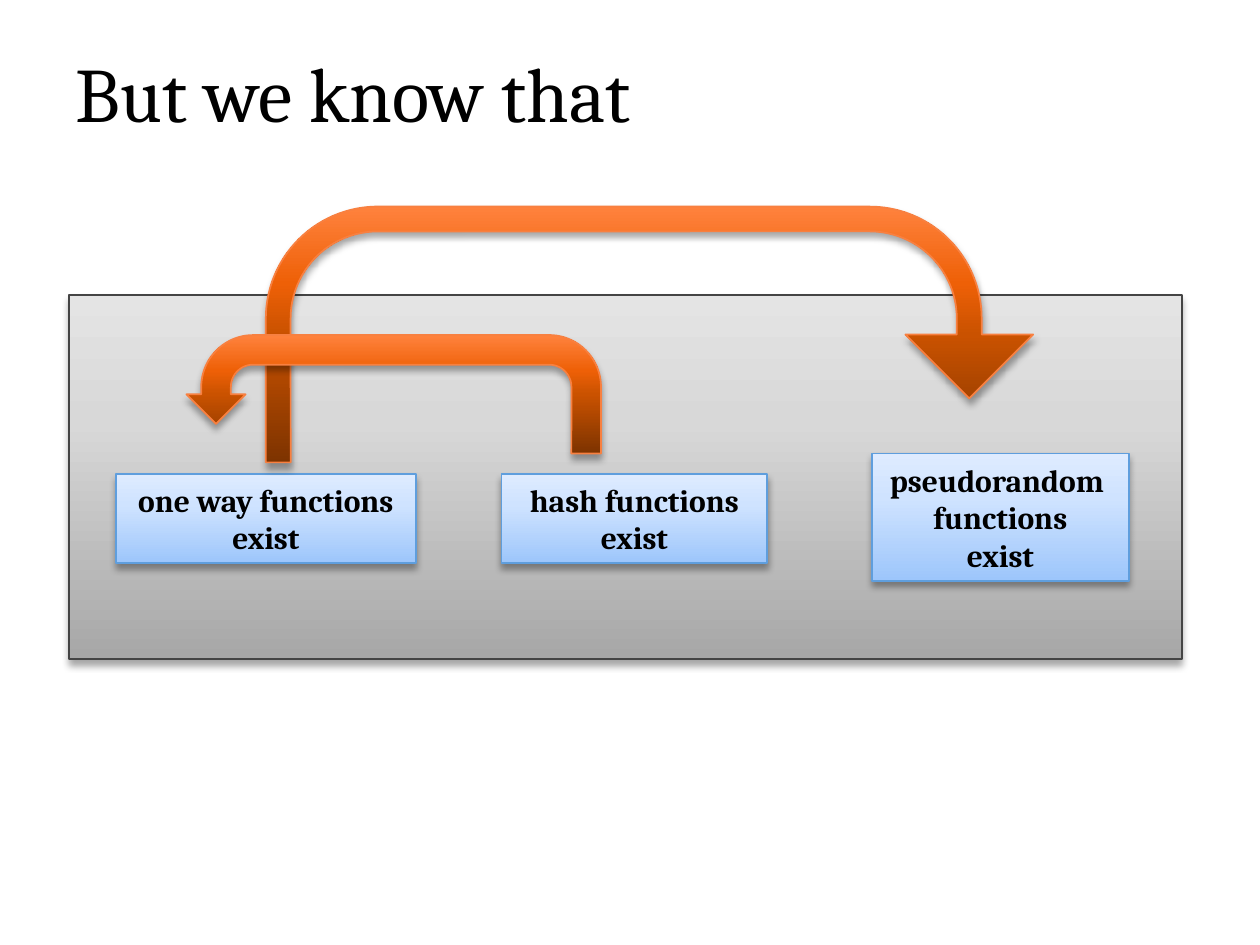
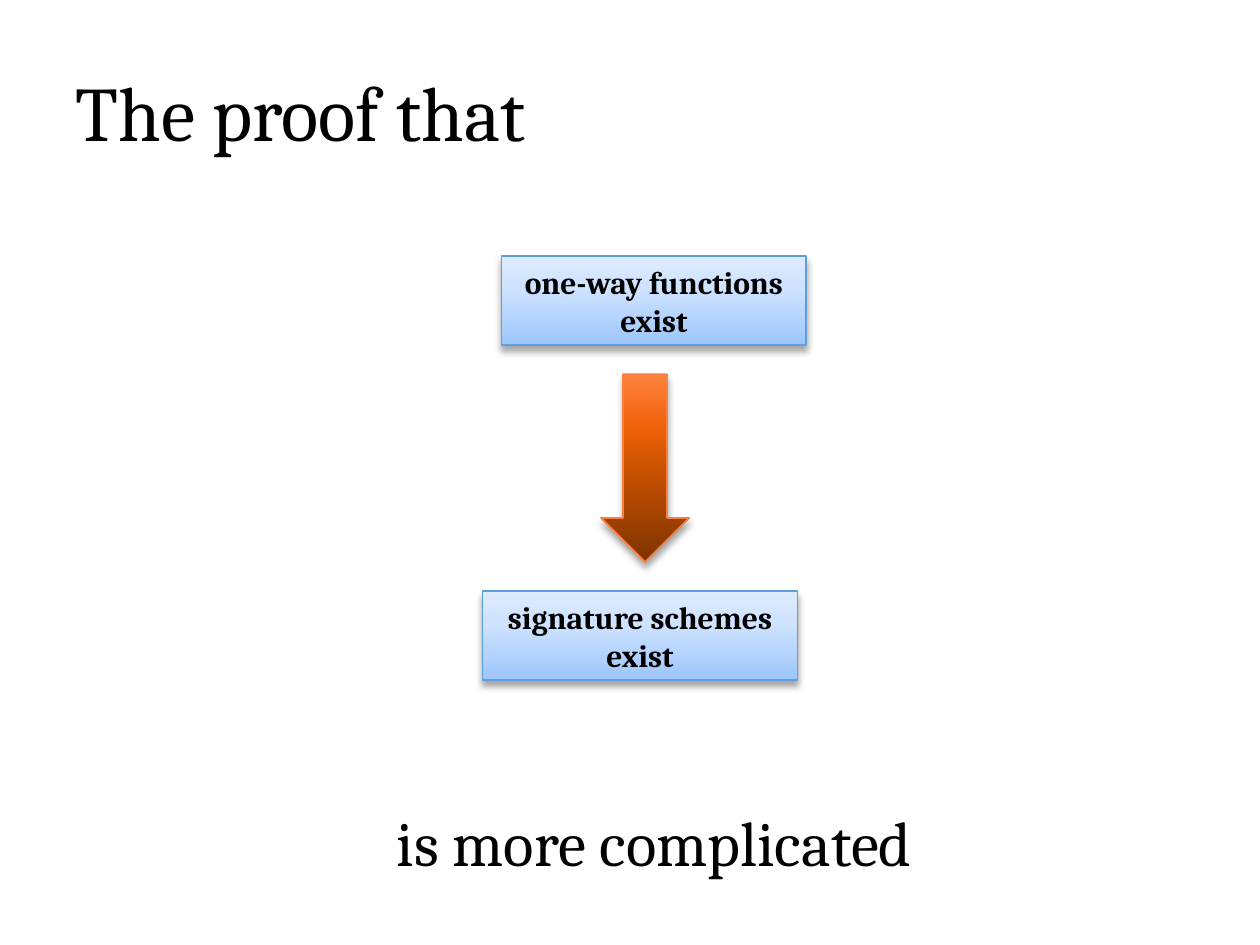
from lxml.etree import SubElement
from pptx import Presentation
from pptx.dml.color import RGBColor
from pptx.enum.shapes import MSO_SHAPE
from pptx.enum.text import MSO_ANCHOR, MSO_AUTO_SIZE, PP_ALIGN
from pptx.oxml.ns import qn
from pptx.util import Inches, Pt

FONT = "Cambria"
BLACK = "000000"
TITLE_FONT = {"name": FONT, "size": Pt(44), "bold": False}
BOX_FONT = {"name": FONT, "size": Pt(18), "bold": True}
CLOSING_FONT = {"name": FONT, "size": Pt(36), "bold": False}

PANEL_STYLE = {"line": "444444", "stops": [(0, "A7A7A7"), (65, "D8D8D8"), (100, "E4E4E4")]}
BOX_STYLE = {"line": "5F9EDD", "stops": [(0, "9DC6FB"), (65, "CFE3FF"), (100, "DEEBFF")]}
ARROW_STYLE = {
    "line": "F88040",
    "stops": [(0, "7D3300"), (50, "CA5200"), (70, "EE6007"), (100, "FF823D")],
}
SHADOW = {"blurRad": Pt(4), "dist": Pt(3), "dir": 90 * 60000, "rotWithShape": 0}
SHADOW_ALPHA = 35

KNOWN_TITLE = ("But we know that", (0.5, 0.3, 9, 0.95))
KNOWN_PANEL = (0.55, 2.34, 8.83, 2.89)
KNOWN_BOXES = [
    ("one way functions\nexist", (0.92, 3.76, 2.38, 0.71)),
    ("hash functions\nexist", (3.98, 3.76, 2.11, 0.71)),
    ("pseudorandom \nfunctions\nexist", (6.92, 3.6, 2.04, 1.01)),
]
ONE_WAY_TO_PSEUDORANDOM = (2.11, 1.64, 6.09, 2.03)
HASH_TO_ONE_WAY = (1.48, 2.66, 3.29, 0.94)
THIN_SHAFT = 0.097

PROOF_TITLE = ("The proof that", (0.5, 0.3, 9, 1.25))
PROOF_BOXES = [
    ("signature schemes exist", (3.83, 4.69, 2.5, 0.71)),
    ("one-way functions\nexist", (3.98, 2.03, 2.42, 0.71)),
]
PROOF_ARROW = (4.77, 2.97, 0.7, 1.49)
CLOSING = ("is more complicated", (3.05, 6.33, 4.33, 0.71))


def colour(value):
    """Turn a hex string into a colour."""
    return RGBColor.from_string(value)


def lengths(place):
    """Turn left, top, width and height into lengths."""
    return [Inches(value) for value in place]


def write(shape, text, font, align):
    """Write one formatted paragraph into a shape."""
    para = shape.text_frame.paragraphs[0]
    para.text = text
    para.alignment = align
    for span in para.runs:
        for name, value in font.items():
            setattr(span.font, name, value)
        span.font.color.rgb = colour(BLACK)
    return para


def add_colour(parent, value):
    """Add a colour element below a gradient stop or a shadow."""
    return SubElement(parent, qn("a:srgbClr"), val=value)


def add_glossy(page, kind, place, style):
    """Add a shape with an upward gradient, a thin line and a soft shadow."""
    shape = page.shapes.add_shape(kind, *lengths(place))
    shape.fill.gradient()
    shape.fill.gradient_angle = 90
    properties = shape._element.spPr
    stops = properties.find(".//" + qn("a:gsLst"))
    for stop in list(stops):
        stops.remove(stop)
    for position, value in style["stops"]:
        add_colour(SubElement(stops, qn("a:gs"), pos=str(position * 1000)), value)
    shape.line.color.rgb = colour(style["line"])
    shape.line.width = Pt(1)
    shape.shadow.inherit = False
    effects = properties.find(qn("a:effectLst"))
    settings = {name: str(int(value)) for name, value in SHADOW.items()}
    shade = add_colour(SubElement(effects, qn("a:outerShdw"), settings), BLACK)
    SubElement(shade, qn("a:alpha"), val=str(SHADOW_ALPHA * 1000))
    return shape


def add_boxes(page, boxes):
    """Add the blue statement boxes."""
    for text, place in boxes:
        box = add_glossy(page, MSO_SHAPE.RECTANGLE, place, BOX_STYLE)
        box.text_frame.word_wrap = True
        box.text_frame.auto_size = MSO_AUTO_SIZE.SHAPE_TO_FIT_TEXT
        write(box, text, BOX_FONT, PP_ALIGN.CENTER)


def add_page(deck, title):
    """Add a title-only slide with its title in place."""
    page = deck.slides.add_slide(deck.slide_layouts[5])
    text, place = title
    heading = page.shapes.title
    heading.left, heading.top, heading.width, heading.height = lengths(place)
    heading.text_frame.auto_size = MSO_AUTO_SIZE.NONE
    heading.text_frame.vertical_anchor = MSO_ANCHOR.MIDDLE
    write(heading, text, TITLE_FONT, PP_ALIGN.LEFT).line_spacing = 0.9
    return page


def build_known(deck):
    """Build the slide on the known implications."""
    page = add_page(deck, KNOWN_TITLE)
    panel = add_glossy(page, MSO_SHAPE.RECTANGLE, KNOWN_PANEL, PANEL_STYLE)
    page.shapes._spTree.insert(2, panel._element)
    add_boxes(page, KNOWN_BOXES)
    long_arrow = add_glossy(page, MSO_SHAPE.U_TURN_ARROW, ONE_WAY_TO_PSEUDORANDOM, ARROW_STYLE)
    long_arrow.adjustments[0] = THIN_SHAFT
    back_arrow = add_glossy(page, MSO_SHAPE.U_TURN_ARROW, HASH_TO_ONE_WAY, ARROW_STYLE)
    back_arrow._element.spPr.find(qn("a:xfrm")).set("flipH", "1")


def build_proof(deck):
    """Build the slide on the harder proof."""
    page = add_page(deck, PROOF_TITLE)
    add_boxes(page, PROOF_BOXES)
    add_glossy(page, MSO_SHAPE.DOWN_ARROW, PROOF_ARROW, ARROW_STYLE)
    text, place = CLOSING
    closing = page.shapes.add_textbox(*lengths(place))
    closing.text_frame.word_wrap = False
    closing.text_frame.auto_size = MSO_AUTO_SIZE.SHAPE_TO_FIT_TEXT
    write(closing, text, CLOSING_FONT, PP_ALIGN.LEFT)


def main():
    """Build and save the deck."""
    deck = Presentation()
    deck.slide_width, deck.slide_height = Inches(10), Inches(7.5)
    build_known(deck)
    build_proof(deck)
    deck.save("out.pptx")


if __name__ == "__main__":
    main()
